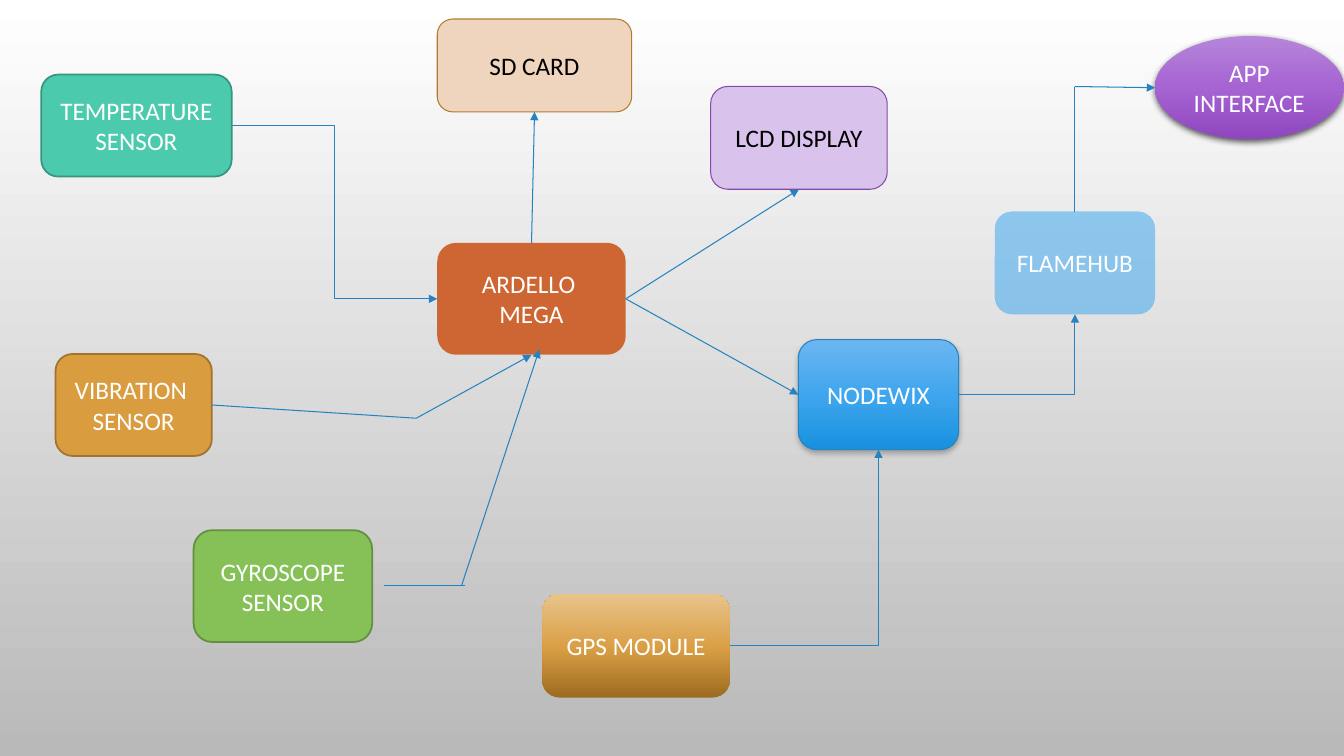
from dataclasses import dataclass, field
from typing import Optional, Union

from lxml import etree
from pptx import Presentation
from pptx.dml.color import RGBColor
from pptx.dml.fill import FillFormat
from pptx.enum.shapes import MSO_CONNECTOR, MSO_SHAPE
from pptx.enum.text import MSO_ANCHOR, PP_ALIGN
from pptx.oxml.ns import qn
from pptx.shapes.autoshape import Shape
from pptx.slide import Slide
from pptx.util import Cm, Pt

ROUNDED = MSO_SHAPE.ROUNDED_RECTANGLE
OVAL = MSO_SHAPE.OVAL
STRAIGHT = MSO_CONNECTOR.STRAIGHT
ELBOW = MSO_CONNECTOR.ELBOW
MIDDLE = MSO_ANCHOR.MIDDLE
CENTER = PP_ALIGN.CENTER
TOP, LEFT, BOTTOM, RIGHT = range(4)
DOWNWARD, UPWARD = 270, 90

Stops = tuple[tuple[int, str], ...]
Point = tuple[float, float]
Site = tuple[str, int]
End = Union[Point, Site]


@dataclass(frozen=True)
class Theme:
    font: str = "Calibri"
    size: float = 18
    light: str = "FFFFFF"
    dark: str = "000000"
    arrow: str = "2683BF"
    thin: float = 0.75
    thick: float = 1.25
    backdrop: Stops = ((0, "FFFFFF"), (100, "B9B9B9"))
    controller: str = "CE6633"
    temperature: str = "4BCAAD"
    temperature_edge: str = "379580"
    vibration: str = "D99C3F"
    vibration_edge: str = "A1732F"
    gyroscope: str = "86C157"
    gyroscope_edge: str = "638F40"
    gps: Stops = ((0, "9D6B1F"), (48, "DA9F45"), (100, "E8C48C"))
    card: str = "EFD5BD"
    card_edge: str = "AE7D32"
    display: str = "D9C3EC"
    display_edge: str = "834AA7"
    wifi: Stops = ((0, "6CB6F1"), (50, "3FA6EE"), (100, "1891DF"))
    cloud: str = "2FA3EE"
    app: Stops = ((0, "B685DA"), (50, "A664D2"), (100, "8F47BF"))


THEME = Theme()


@dataclass(frozen=True)
class Shadow:
    opacity: int
    blur: float
    distance: float


@dataclass(frozen=True)
class Node:
    name: str
    text: str
    left: float
    top: float
    width: float
    height: float
    fill: Union[str, Stops]
    edge: Optional[str] = None
    edge_width: float = THEME.thin
    ink: str = THEME.light
    form: MSO_SHAPE = ROUNDED
    angle: int = DOWNWARD
    opacity: int = 100
    shadow: Optional[Shadow] = None


@dataclass(frozen=True)
class Link:
    start: End
    finish: End
    arrow: bool = True
    bends: int = field(default=0)


NODES = (
    Node("controller", "ARDELLO \nMEGA", 11.02, 6.12, 4.75, 2.82, THEME.controller),
    Node("temperature", "TEMPERATURE\nSENSOR", 1.04, 1.88, 4.8, 2.57,
         THEME.temperature, THEME.temperature_edge, THEME.thick),
    Node("vibration", "VIBRATION \nSENSOR", 1.4, 8.92, 3.94, 2.57,
         THEME.vibration, THEME.vibration_edge, THEME.thick),
    Node("gyroscope", "GYROSCOPE\nSENSOR", 4.88, 13.36, 4.5, 2.82,
         THEME.gyroscope, THEME.gyroscope_edge, THEME.thick),
    Node("gps", "GPS MODULE", 13.67, 14.96, 4.72, 2.62, THEME.gps, angle=UPWARD),
    Node("card", "SD CARD", 11.02, 0.48, 4.9, 2.34,
         THEME.card, THEME.card_edge, ink=THEME.dark),
    Node("display", "LCD DISPLAY", 17.91, 2.18, 4.45, 2.59,
         THEME.display, THEME.display_edge, ink=THEME.dark),
    Node("wifi", "NODEWIX", 20.12, 8.56, 4.04, 2.77,
         THEME.wifi, THEME.arrow, shadow=Shadow(28, 4, 2)),
    Node("cloud", "FLAMEHUB", 25.07, 5.33, 4.04, 2.59, THEME.cloud, opacity=50),
    Node("app", "APP INTERFACE", 29.11, 0.91, 4.75, 2.59,
         THEME.app, form=OVAL, shadow=Shadow(69, 5, 2)),
)

VIBRATION_BEND = (10.49, 10.54)
APP_BEND = (27.09, 2.18)

LINKS = (
    Link(("temperature", RIGHT), ("controller", LEFT), bends=2),
    Link(("vibration", RIGHT), VIBRATION_BEND, arrow=False),
    Link(VIBRATION_BEND, ("controller", BOTTOM)),
    Link((9.68, 14.76), (11.71, 14.76), arrow=False),
    Link((11.63, 14.76), (13.59, 8.81)),
    Link(("controller", RIGHT), ("wifi", LEFT)),
    Link(("gps", RIGHT), ("wifi", BOTTOM), bends=1),
    Link(("wifi", RIGHT), ("cloud", BOTTOM), bends=1),
    Link(("controller", TOP), ("card", BOTTOM)),
    Link(("controller", RIGHT), ("display", BOTTOM)),
    Link(("cloud", TOP), APP_BEND, arrow=False),
    Link(APP_BEND, (29.11, 2.21)),
)


def paint_gradient(fill: FillFormat, owner: etree._Element, stops: Stops, angle: int) -> None:
    fill.gradient()
    fill.gradient_angle = angle
    stop_list = next(owner.iter(qn("a:gsLst")))
    for old in list(stop_list):
        stop_list.remove(old)
    for position, color in stops:
        stop = etree.SubElement(stop_list, qn("a:gs"), pos=str(position * 1000))
        etree.SubElement(stop, qn("a:srgbClr"), val=color)


def add_shadow(box: Shape, shadow: Shadow) -> None:
    effects = box._element.spPr.find(qn("a:effectLst"))
    outer = etree.SubElement(effects, qn("a:outerShdw"), blurRad=str(Pt(shadow.blur)),
                             dist=str(Pt(shadow.distance)), dir="5400000", rotWithShape="0")
    color = etree.SubElement(outer, qn("a:srgbClr"), val=THEME.dark)
    etree.SubElement(color, qn("a:alpha"), val=str(shadow.opacity * 1000))


def draw_node(page: Slide, node: Node) -> Shape:
    box = page.shapes.add_shape(node.form, Cm(node.left), Cm(node.top),
                                Cm(node.width), Cm(node.height))
    box.shadow.inherit = False
    if isinstance(node.fill, str):
        box.fill.solid()
        box.fill.fore_color.rgb = RGBColor.from_string(node.fill)
        if node.opacity < 100:
            color = next(box._element.spPr.iter(qn("a:srgbClr")))
            etree.SubElement(color, qn("a:alpha"), val=str(node.opacity * 1000))
    else:
        paint_gradient(box.fill, box._element.spPr, node.fill, node.angle)
    if node.edge:
        box.line.color.rgb = RGBColor.from_string(node.edge)
        box.line.width = Pt(node.edge_width)
    else:
        box.line.fill.background()
    if node.shadow:
        add_shadow(box, node.shadow)
    frame = box.text_frame
    frame.text = node.text
    frame.word_wrap = True
    frame.vertical_anchor = MIDDLE
    for para in frame.paragraphs:
        para.alignment = CENTER
        for span in para.runs:
            span.font.name = THEME.font
            span.font.size = Pt(THEME.size)
            span.font.color.rgb = RGBColor.from_string(node.ink)
    return box


def locate(end: End, boxes: dict[str, Shape]) -> tuple[int, int]:
    if not isinstance(end[0], str):
        return Cm(end[0]), Cm(end[1])
    box = boxes[end[0]]
    across, down = {TOP: (1, 0), LEFT: (0, 1), BOTTOM: (1, 2), RIGHT: (2, 1)}[end[1]]
    return box.left + box.width * across // 2, box.top + box.height * down // 2


def draw_link(page: Slide, link: Link, boxes: dict[str, Shape]) -> None:
    line = page.shapes.add_connector(ELBOW if link.bends else STRAIGHT,
                                     *locate(link.start, boxes), *locate(link.finish, boxes))
    for end, connect in ((link.start, line.begin_connect), (link.finish, line.end_connect)):
        if isinstance(end[0], str):
            connect(boxes[end[0]], end[1])
    line.line.color.rgb = RGBColor.from_string(THEME.arrow)
    line.line.width = Pt(THEME.thin)
    properties = line._element.spPr
    if link.bends == 1:
        properties.find(qn("a:prstGeom")).set("prst", "bentConnector2")
    if link.arrow:
        etree.SubElement(properties.find(qn("a:ln")), qn("a:tailEnd"), type="triangle")
    etree.SubElement(properties, qn("a:effectLst"))


def main() -> None:
    deck = Presentation()
    deck.slide_width, deck.slide_height = Cm(33.87), Cm(19.05)
    page = deck.slides.add_slide(deck.slide_layouts[6])
    paint_gradient(page.background.fill, page._element, THEME.backdrop, DOWNWARD)
    boxes = {node.name: draw_node(page, node) for node in NODES}
    for link in LINKS:
        draw_link(page, link, boxes)
    deck.save("out.pptx")


if __name__ == "__main__":
    main()
